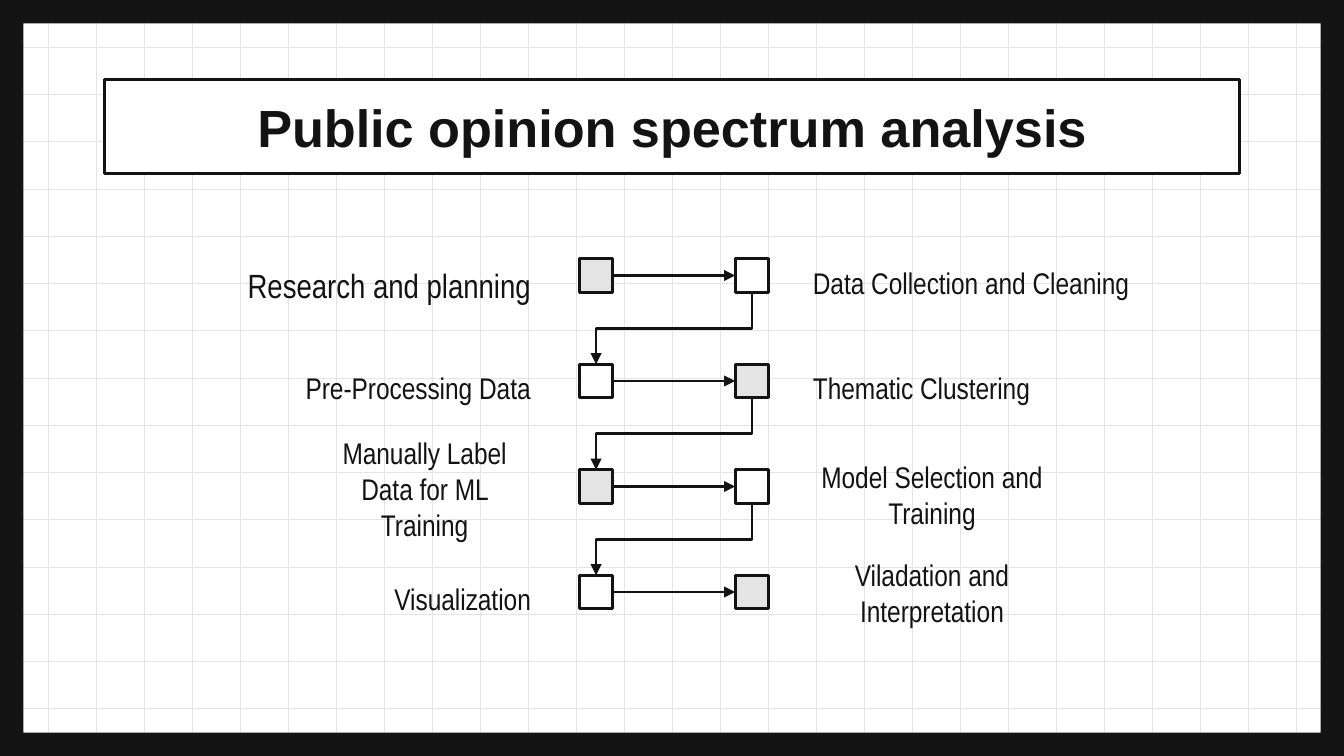
from itertools import pairwise

from pptx import Presentation
from pptx import util as u
from pptx.dml.color import RGBColor
from pptx.enum import shapes, text
from pptx.oxml.ns import qn
from pptx.oxml.xmlchemy import OxmlElement

PX = 4572
WIDTH, HEIGHT = 2000, 1125
INK = RGBColor(0x13, 0x13, 0x13)
GREY = RGBColor(0xE4, 0xE4, 0xE4)
WHITE = RGBColor(0xFF, 0xFF, 0xFF)
LEFT, CENTER, RIGHT = text.PP_ALIGN.LEFT, text.PP_ALIGN.CENTER, text.PP_ALIGN.RIGHT

STEPS = [
    ("Research and planning", (0, 0, 466, 72), RIGHT, 18),
    ("Data Collection and Cleaning", (846, 0, 528, 72), LEFT, 16),
    ("Pre-Processing Data", (0, 156, 466, 72), RIGHT, 16),
    ("Thematic Clustering", (846, 156, 466, 72), LEFT, 16),
    ("Manually Label Data for ML Training", (125, 253, 326, 72), CENTER, 16),
    ("Model Selection and Training", (846, 289, 394, 72), CENTER, 16),
    ("Visualization", (0, 470, 466, 72), RIGHT, 16),
    ("Viladation and Interpretation", (846, 435, 394, 106), CENTER, 16),
]


def emu(*lengths):
    return [u.Emu(round(length * PX)) for length in lengths]


def add_line(slide, kind, ends, color, weight):
    line = slide.shapes.add_connector(kind, *emu(*ends))
    line.line.color.rgb = color
    line.line.width = u.Pt(weight)
    line._element.spPr.append(OxmlElement("a:effectLst"))
    return line


def add_arrow(slide, kind, start, start_side, end, end_side):
    arrow = add_line(slide, kind, (0, 0, 0, 0), INK, 1.5)
    arrow.begin_connect(start, start_side)
    arrow.end_connect(end, end_side)
    head = OxmlElement("a:tailEnd")
    head.set("type", "triangle")
    arrow.line._get_or_add_ln().append(head)
    return arrow


def add_return_arrow(slide, start, end):
    arrow = add_arrow(slide, shapes.MSO_CONNECTOR.ELBOW, start, 2, end, 0)
    across, down = arrow.width, arrow.height
    center_x, center_y = arrow.left + across // 2, arrow.top + down // 2
    xfrm = arrow._element.spPr.find(qn("a:xfrm"))
    xfrm.attrib.pop("flipH", None)
    xfrm.set("rot", "5400000")
    arrow.left, arrow.top = center_x - down // 2, center_y - across // 2
    arrow.width, arrow.height = down, across


def fill_text(frame, words, align, size, font, bold=False):
    frame.word_wrap = True
    frame.auto_size = text.MSO_AUTO_SIZE.NONE
    frame.margin_left, frame.margin_top, frame.margin_right, frame.margin_bottom = emu(20, 20, 20, 20)
    frame.text = words
    paragraph = frame.paragraphs[0]
    paragraph.alignment = align
    paragraph.font.name = font
    paragraph.font.size = u.Pt(size)
    paragraph.font.bold = bold
    paragraph.font.color.rgb = INK


def draw_grid_paper(slide, box):
    x, y, width, height = box
    columns, rows = 28, 16
    straight = shapes.MSO_CONNECTOR.STRAIGHT
    for row in range(1, rows):
        line_y = y + row * height / rows
        add_line(slide, straight, (x, line_y, x + width, line_y), GREY, 0.38)
    for column in range(1, columns):
        line_x = x + column * width / columns
        add_line(slide, straight, (line_x, y, line_x, y + height), GREY, 0.38)
    border = slide.shapes.add_shape(shapes.MSO_SHAPE.FRAME, *emu(*box))
    border.adjustments[0] = 0.031
    border.shadow.inherit = False
    border.fill.solid()
    border.fill.fore_color.rgb = INK
    border.line.fill.background()


def place_title(slide, box):
    title = slide.shapes.title
    title.left, title.top, title.width, title.height = emu(*box)
    title.fill.solid()
    title.fill.fore_color.rgb = WHITE
    title.line.color.rgb = INK
    title.line.width = u.Pt(1.5)
    fill_text(title.text_frame, "Public opinion spectrum analysis", CENTER, 28, "Arial", True)
    title.text_frame.vertical_anchor = text.MSO_ANCHOR.MIDDLE
    slide.shapes._spTree.append(title._element)


def draw_flow(slide, box):
    x, y, _, _ = box
    markers = []
    for index, (words, (left, top, width, height), align, size) in enumerate(STEPS):
        label = slide.shapes.add_textbox(*emu(x + left, y + top, width, height))
        fill_text(label.text_frame, words, align, size, "Arial Narrow")
        row, column = divmod(index, 2)
        marker_x, marker_y = x + 518 + 232 * column, y + 11 + 157 * row
        marker = slide.shapes.add_shape(
            shapes.MSO_SHAPE.RECTANGLE, *emu(marker_x, marker_y, 50, 50))
        marker.shadow.inherit = False
        marker.fill.solid()
        marker.fill.fore_color.rgb = WHITE if (row + column) % 2 else GREY
        marker.line.color.rgb = INK
        marker.line.width = u.Pt(1.5)
        markers.append(marker)
    for index, (start, end) in enumerate(pairwise(markers)):
        if index % 2:
            add_return_arrow(slide, start, end)
        else:
            add_arrow(slide, shapes.MSO_CONNECTOR.STRAIGHT, start, 3, end, 1)


def main():
    deck = Presentation()
    deck.slide_width, deck.slide_height = emu(WIDTH, HEIGHT)
    slide = deck.slides.add_slide(deck.slide_layouts[5])
    slide.background.fill.solid()
    slide.background.fill.fore_color.rgb = WHITE
    draw_grid_paper(slide, (0, 0, WIDTH, HEIGHT))
    place_title(slide, (156, 118, 1688, 140))
    draw_flow(slide, (344, 374, 1374, 542))
    deck.save("out.pptx")


if __name__ == "__main__":
    main()
